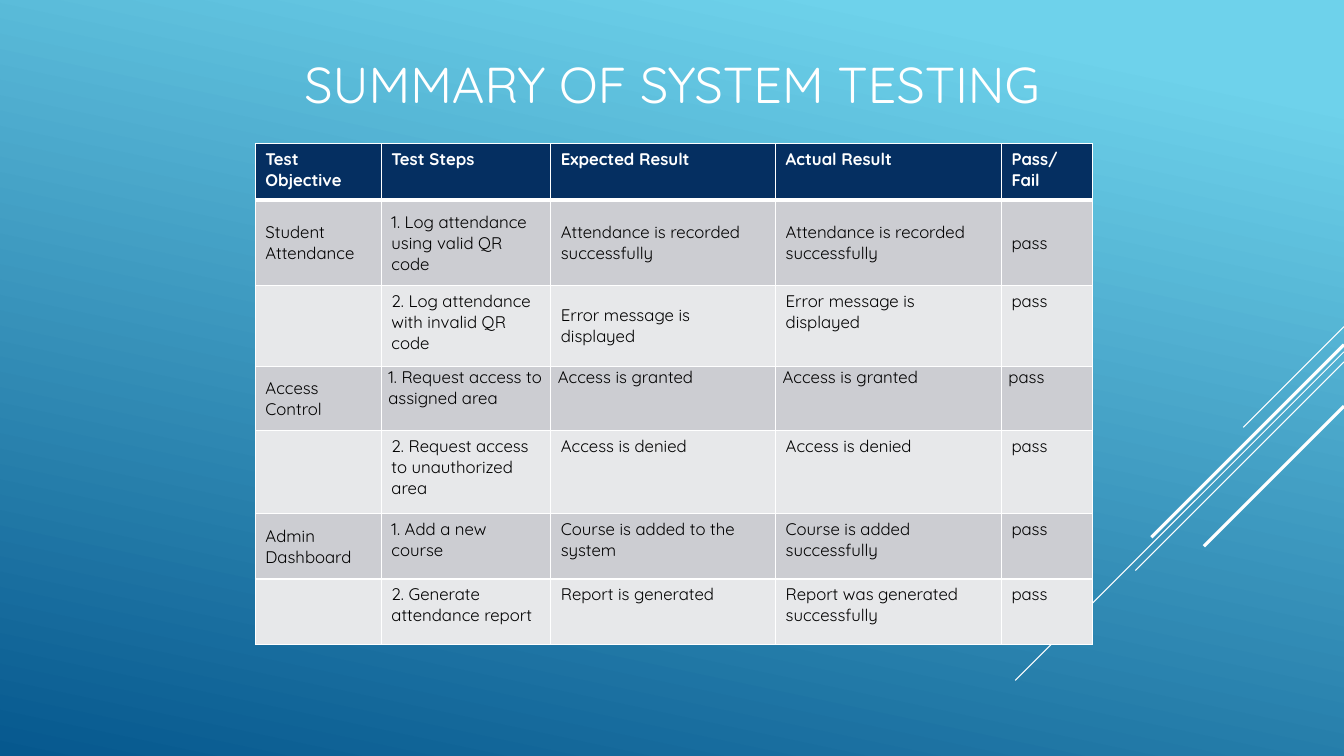
from dataclasses import dataclass

from lxml.etree import SubElement
from pptx import Presentation
from pptx.dml.color import RGBColor
from pptx.enum.shapes import MSO_CONNECTOR
from pptx.enum.text import MSO_ANCHOR, PP_ALIGN
from pptx.oxml.ns import qn
from pptx.util import Inches, Pt


@dataclass(frozen=True)
class Theme:
    font: str = "Quicksand"
    title_size: int = 36
    table_size: int = 12
    white: str = "FFFFFF"
    black: str = "000000"
    header: str = "052F61"
    bands: tuple = ("CCCDD2", "E7E8EA")
    sky: str = "6ED2EB"
    deep_blue: str = "06588E"


THEME = Theme()
WIDTH, HEIGHT = 13.33, 7.5

# Diagonal streaks: height on the right edge, reach to the left, line width
STREAKS = [
    (3.24, 1.00, 0.75),
    (3.49, 3.26, 0.75),
    (3.59, 2.07, 0.75),
    (3.42, 1.91, 2.25),
    (4.03, 1.39, 2.25),
]

COLUMN_WIDTHS = [1.25, 1.68, 2.23, 2.24, 0.9]
ROW_HEIGHTS = [0.56, 0.85, 0.8, 0.64, 0.82, 0.65, 0.65]
TEST_ROWS = [
    ("Test Objective", "Test Steps", "Expected Result", "Actual Result", "Pass/Fail"),
    ("Student Attendance", "1. Log attendance using valid QR code",
     "Attendance is recorded successfully", "Attendance is recorded successfully", "pass"),
    ("", "2. Log attendance with invalid QR code",
     "Error message is displayed", "Error message is displayed", "pass"),
    ("Access Control", "1. Request access to assigned area",
     "Access is granted", "Access is granted", "pass"),
    ("", "2. Request access to unauthorized area",
     "Access is denied", "Access is denied", "pass"),
    ("Admin Dashboard", "1. Add a new course",
     "Course is added to the system", "Course is added successfully", "pass"),
    ("", "2. Generate attendance report",
     "Report is generated", "Report was generated successfully", "pass"),
]
ATTENDANCE_ROW, ACCESS_ROW = 1, 3
INVALID_CODE_RESULT = (2, 2)


def add_run(paragraph, text, size, color, bold=False):
    run = paragraph.add_run()
    run.text = text
    run.font.name = THEME.font
    run.font.size = Pt(size)
    run.font.bold = bold
    run.font.color.rgb = RGBColor.from_string(color)


def paint_background(slide):
    fill = slide.background.fill
    fill.gradient()
    fill.gradient_angle = 258
    stops = ((0.1, THEME.sky), (1, THEME.deep_blue))
    for stop, (position, color) in zip(fill.gradient_stops, stops):
        stop.position = position
        stop.color.rgb = RGBColor.from_string(color)


def add_streaks(slide, right):
    """Draw 45-degree lines running down and left from the right edge."""
    for top, reach, width in STREAKS:
        streak = slide.shapes.add_connector(
            MSO_CONNECTOR.STRAIGHT, Inches(right), Inches(top),
            Inches(right - reach), Inches(top + reach))
        streak.line.color.rgb = RGBColor.from_string(THEME.white)
        streak.line.width = Pt(width)
        SubElement(streak._element.spPr, qn("a:effectLst"))


def add_title(slide, text, left, top, width, height):
    box = slide.shapes.add_textbox(Inches(left), Inches(top), Inches(width), Inches(height))
    frame = box.text_frame
    frame.word_wrap = True
    frame.vertical_anchor = MSO_ANCHOR.MIDDLE
    paragraph = frame.paragraphs[0]
    paragraph.alignment = PP_ALIGN.CENTER
    add_run(paragraph, text, THEME.title_size, THEME.white)


def set_borders(cell, top, bottom):
    """Line all four sides in white; top and bottom are widths in points."""
    properties = cell._tc.get_or_add_tcPr()
    for side, width in (("L", 1), ("R", 1), ("T", top), ("B", bottom)):
        line = SubElement(properties, qn(f"a:ln{side}"), w=str(Pt(width)))
        SubElement(SubElement(line, qn("a:solidFill")), qn("a:srgbClr"), val=THEME.white)


def fill_cell(cell, row, column, text):
    is_header = row == 0
    set_borders(cell, top=3 if row == 1 else 1, bottom=3 if is_header else 1)
    cell.fill.solid()
    fill_color = THEME.header if is_header else THEME.bands[(row - 1) % 2]
    cell.fill.fore_color.rgb = RGBColor.from_string(fill_color)
    if not text:
        return
    paragraph = cell.text_frame.paragraphs[0]
    add_run(paragraph, text, THEME.table_size,
            THEME.white if is_header else THEME.black, is_header)
    is_objective = column == 0 and not is_header
    if is_objective or row == ATTENDANCE_ROW or (row, column) == INVALID_CODE_RESULT:
        cell.vertical_anchor = MSO_ANCHOR.MIDDLE
    elif row == ACCESS_ROW:
        cell.margin_left = cell.margin_right = Inches(0.07)
        cell.margin_top = cell.margin_bottom = 0
        paragraph.space_after = Pt(8)


def add_test_table(slide, left, top):
    table = slide.shapes.add_table(
        len(ROW_HEIGHTS), len(COLUMN_WIDTHS), Inches(left), Inches(top),
        Inches(sum(COLUMN_WIDTHS)), Inches(sum(ROW_HEIGHTS))).table
    for column, width in zip(table.columns, COLUMN_WIDTHS):
        column.width = Inches(width)
    for row, height in zip(table.rows, ROW_HEIGHTS):
        row.height = Inches(height)
    for row, texts in enumerate(TEST_ROWS):
        for column, text in enumerate(texts):
            fill_cell(table.cell(row, column), row, column, text)


def main():
    presentation = Presentation()
    presentation.slide_width = Inches(WIDTH)
    presentation.slide_height = Inches(HEIGHT)
    slide = presentation.slides.add_slide(presentation.slide_layouts[6])
    paint_background(slide)
    add_streaks(slide, WIDTH)
    add_title(slide, "SUMMARY OF SYSTEM TESTING", 2, 0, WIDTH * 0.7, HEIGHT * 0.22)
    add_test_table(slide, WIDTH * 0.19, HEIGHT * 0.19)
    presentation.save("out.pptx")


if __name__ == "__main__":
    main()
